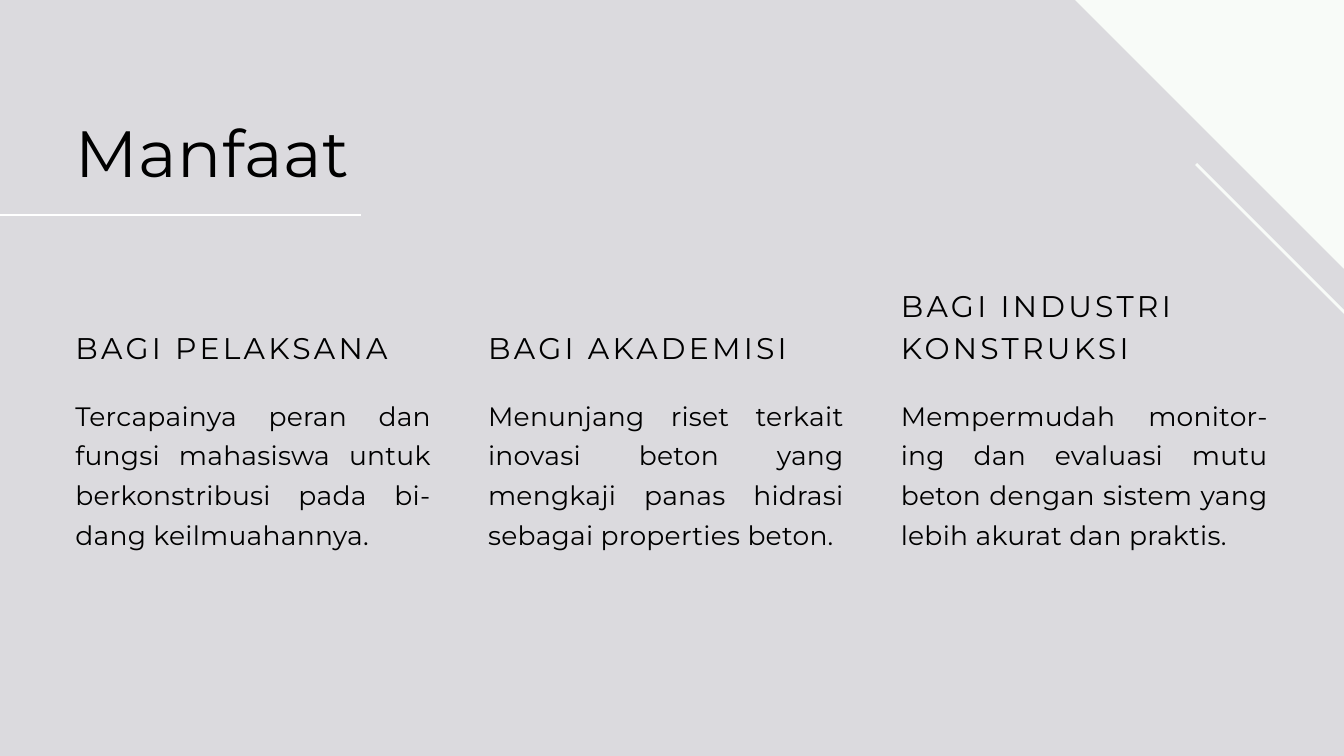
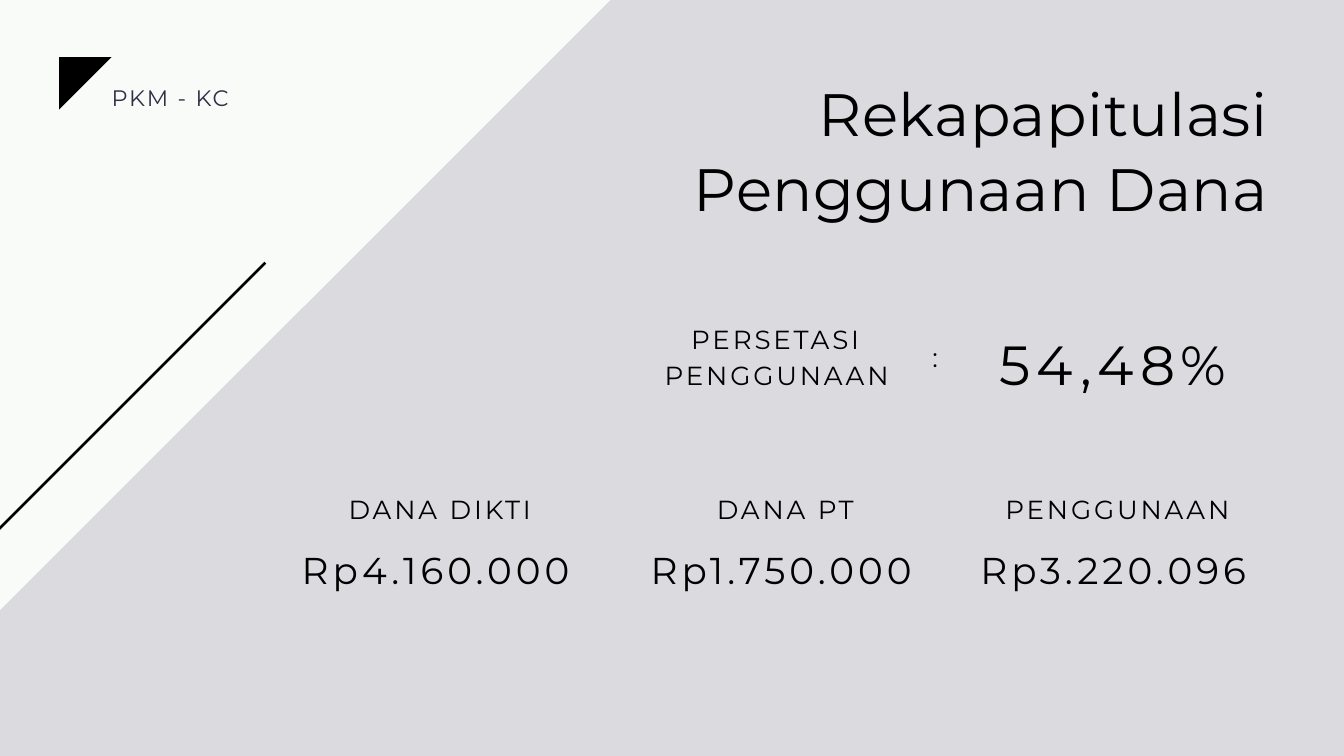
"""Build two funding-report slides: benefits and a summary of funds used."""
from dataclasses import dataclass

from lxml.etree import SubElement
from pptx import Presentation
from pptx.dml.color import RGBColor
from pptx.enum.shapes import MSO_CONNECTOR as Connector
from pptx.enum.text import MSO_ANCHOR as Anchor, MSO_AUTO_SIZE as AutoSize, PP_ALIGN as Align
from pptx.oxml.ns import qn
from pptx.util import Cm, Pt

BENEFITS = {
    "title": "Manfaat",
    "columns": [
        ("BAGI PELAKSANA", 1, 13.46,
         "Tercapainya peran dan fungsi mahasiswa untuk berkonstribusi pada bi-dang keilmuahannya."),
        ("BAGI AKADEMISI", 1, 13.46,
         "Menunjang riset terkait inovasi beton yang mengkaji panas hidrasi sebagai properties beton."),
        ("BAGI INDUSTRI KONSTRUKSI", 2, 13.89,
         "Mempermudah monitor-ing dan evaluasi mutu beton dengan sistem yang lebih akurat dan praktis."),
    ],
}
FUNDS = {
    "title": "Rekapapitulasi Penggunaan Dana",
    "tag": "PKM - KC",
    "share": ("PERSETASI PENGGUNAAN", ":", "54,48%"),
    "amounts": [
        (10.59, "DANA DIKTI", "Rp4.160.000"),
        (23.65, "DANA PT", "Rp1.750.000"),
        (36.2, "PENGGUNAAN", "Rp3.220.096"),
    ],
}


@dataclass(frozen=True)
class Style:
    size: float
    leading: float
    spacing: float
    color: str = "000000"


@dataclass(frozen=True)
class Theme:
    font: str = "Montserrat"
    ground: str = "DBDADE"
    pale: str = "F8FBF8"
    white: str = "FFFFFF"
    ink: str = "000000"
    rule: float = 2.9
    title: Style = Style(70, 88.2, 0.7)
    long_title: Style = Style(64, 80.6, 0.6)
    heading: Style = Style(32, 44.8, 3.5)
    body: Style = Style(28.5, 42.6, 0.3)
    label: Style = Style(28, 39.2, 3.1)
    amount: Style = Style(40, 56, 4.4)
    share: Style = Style(59, 82.6, 6.5)
    tag: Style = Style(24, 33.6, 1.9, "342D47")


THEME = Theme()
WIDTH, HEIGHT = 50.8, 28.58
MARGIN, COLUMN_PITCH = 2.85, 15.6
HEADING_TOP, HEADING_LINE, BODY_TOP = 12.22, 1.58, 14.81
AMOUNT_WIDTH, LABEL_WIDTH, LABEL_INSET = 11.76, 10.19, 0.94
DIAGONAL = 11.03


def write(page, text, left, top, width, height, *, style, align=Align.LEFT, title=False):
    """Write text in the title placeholder or in a new box."""
    area = [Cm(value) for value in (left, top, width, height)]
    if title:
        box = page.shapes.title
        box.left, box.top, box.width, box.height = area
    else:
        box = page.shapes.add_textbox(*area)
    frame = box.text_frame
    frame.word_wrap = True
    frame.auto_size = AutoSize.NONE
    frame.vertical_anchor = Anchor.TOP
    frame.margin_left = frame.margin_top = frame.margin_right = frame.margin_bottom = 0
    para = frame.paragraphs[0]
    para.alignment = align
    para.line_spacing = Pt(style.leading)
    para.space_before = Pt(0)
    span = para.add_run()
    span.text = text
    span.font.name = THEME.font
    span.font.size = Pt(style.size)
    span.font.color.rgb = RGBColor.from_string(style.color)
    span._r.get_or_add_rPr().set("spc", str(round(style.spacing * 100)))


def add_corner(page, left, top, across, down, color):
    """Fill a right triangle whose square corner is at left, top."""
    outline = page.shapes.build_freeform(Cm(left), Cm(top))
    outline.add_line_segments([(Cm(left + across), Cm(top)), (Cm(left), Cm(top + down))])
    triangle = outline.convert_to_shape()
    triangle.shadow.inherit = False
    triangle.fill.solid()
    triangle.fill.fore_color.rgb = RGBColor.from_string(color)
    triangle.line.fill.background()


def add_rule(page, left, top, across, down, color):
    """Draw a thin straight line that bleeds off the page edge."""
    ends = (left, top, left + across, top + down)
    rule = page.shapes.add_connector(Connector.STRAIGHT, *map(Cm, ends))
    rule.line.color.rgb = RGBColor.from_string(color)
    rule.line.width = Pt(THEME.rule)
    SubElement(rule._element.spPr, qn("a:effectLst"))


def add_page(deck):
    """Add a page that has only a title."""
    return deck.slides.add_slide(deck.slide_layouts.get_by_name("Title Only"))


def build_benefits(deck):
    """Lay out three benefit columns under the title."""
    page = add_page(deck)
    add_corner(page, WIDTH, 0, -10.16, 10.16, THEME.pale)
    add_rule(page, 45.21, 6.2, DIAGONAL, DIAGONAL, THEME.pale)
    add_rule(page, 13.64, 8.13, -45.08, 0, THEME.white)
    write(page, BENEFITS["title"], MARGIN, 4.09, 17.83, 3.07, style=THEME.title, title=True)
    for index, (heading, lines, width, body) in enumerate(BENEFITS["columns"]):
        left = MARGIN + index * COLUMN_PITCH
        top = HEADING_TOP - (lines - 1) * HEADING_LINE
        write(page, heading, left, top, width, lines * HEADING_LINE - 0.13, style=THEME.heading)
        write(page, body, left, BODY_TOP, width, 5.9, style=THEME.body, align=Align.JUSTIFY)


def build_funds(deck):
    """Lay out the share of funds used above the three amounts."""
    page = add_page(deck)
    add_corner(page, 0, 0, 23.07, 23.07, THEME.pale)
    add_corner(page, 2.24, 2.16, 1.98, 1.98, THEME.ink)
    add_rule(page, 10.03, 9.93, -DIAGONAL, DIAGONAL, THEME.ink)
    write(page, FUNDS["title"], 23.04, 2.77, 24.92, 5.64,
          style=THEME.long_title, align=Align.RIGHT, title=True)
    write(page, FUNDS["tag"], 4.22, 3.02, 9.47, 1.12, style=THEME.tag)
    label, colon, share = FUNDS["share"]
    write(page, label, 24.26, 12.01, LABEL_WIDTH, 2.67, style=THEME.label, align=Align.CENTER)
    write(page, colon, 34.09, 12.7, 2.51, 1.3, style=THEME.label, align=Align.CENTER)
    write(page, share, 36.2, 12.09, AMOUNT_WIDTH, 2.74, style=THEME.share, align=Align.CENTER)
    for left, label, amount in FUNDS["amounts"]:
        write(page, label, left + LABEL_INSET, 18.47, LABEL_WIDTH, 1.3,
              style=THEME.label, align=Align.CENTER)
        write(page, amount, left, 20.42, AMOUNT_WIDTH, 1.83,
              style=THEME.amount, align=Align.CENTER)


def main():
    """Build and save the deck."""
    deck = Presentation()
    deck.slide_width, deck.slide_height = Cm(WIDTH), Cm(HEIGHT)
    ground = deck.slide_master.background.fill
    ground.solid()
    ground.fore_color.rgb = RGBColor.from_string(THEME.ground)
    build_benefits(deck)
    build_funds(deck)
    deck.save("out.pptx")


if __name__ == "__main__":
    main()
